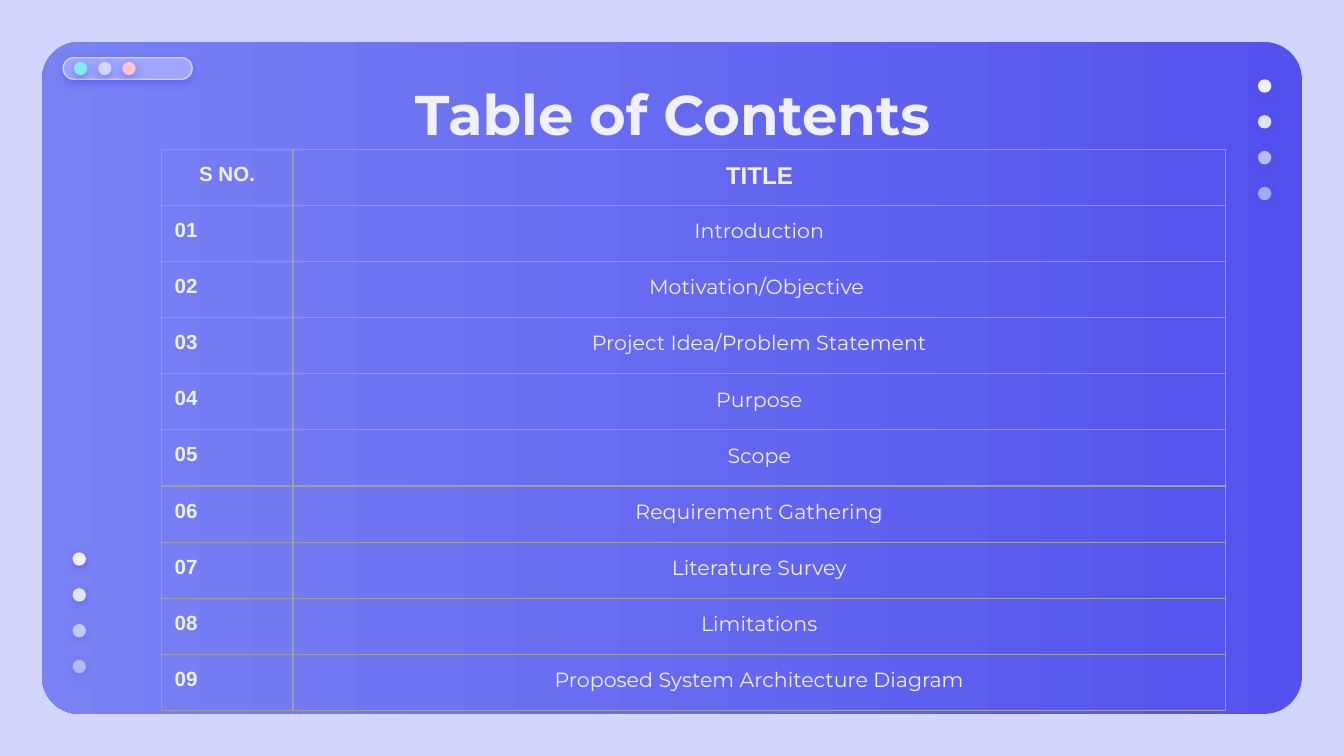
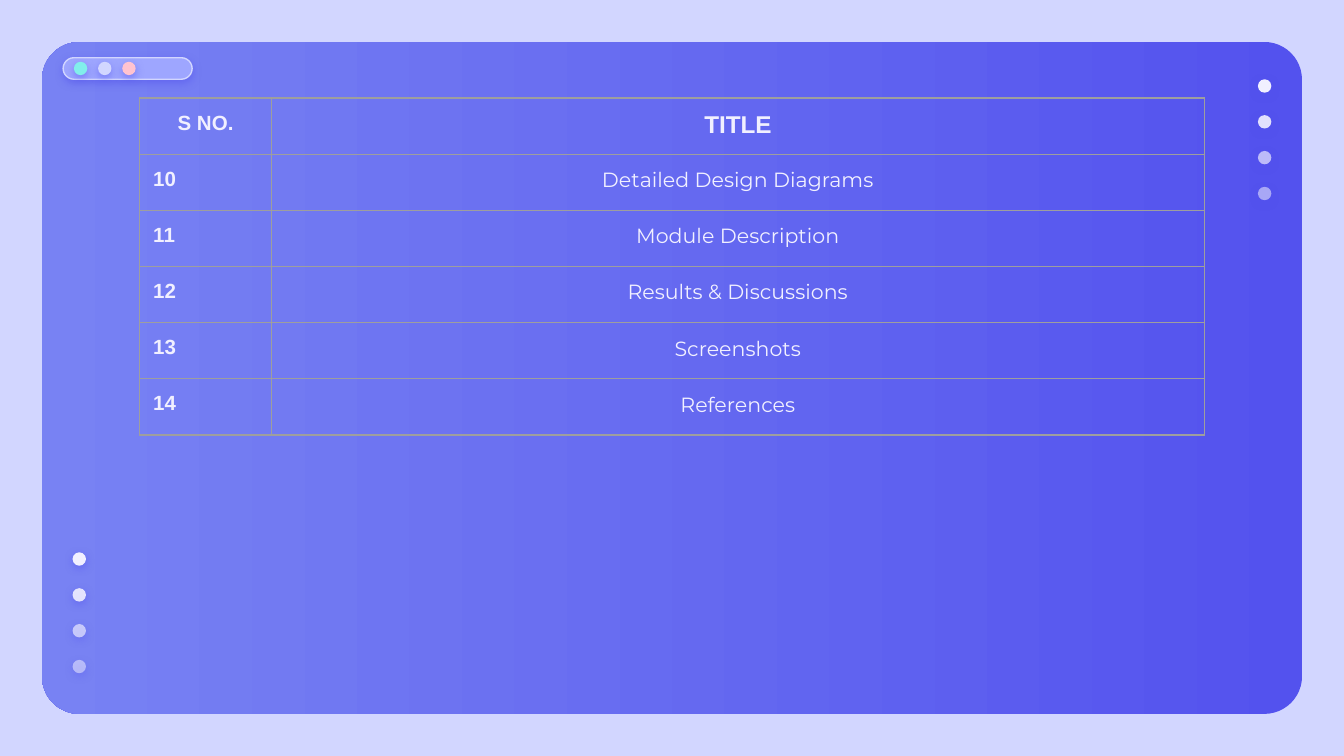
from lxml.etree import SubElement
from pptx import Presentation
from pptx.dml.color import RGBColor
from pptx.enum.shapes import MSO_SHAPE as Preset
from pptx.enum.text import MSO_ANCHOR as Anchor, PP_ALIGN as Align
from pptx.oxml.ns import qn
from pptx.util import Inches, Pt

PALE = RGBColor(0xD2, 0xD6, 0xFF)
DEEP = RGBColor(0x53, 0x52, 0xEE)
SOFT = RGBColor(0x78, 0x82, 0xF3)
PILL = RGBColor(0x9E, 0xA6, 0xFF)
AQUA = RGBColor(0x81, 0xEE, 0xEB)
PINK = RGBColor(0xFF, 0xC3, 0xD0)
TEXT = RGBColor(0xF1, 0xF0, 0xFF)
BORDER = RGBColor(0x9E, 0x9E, 0x9E)
HEAD_FONT, BODY_FONT = "Arial", "Montserrat"

WIDTH, HEIGHT = Inches(10), Inches(5.625)
MARGIN = WIDTH // 32
DOT = Inches(0.1)
DOT_PITCH = Inches(0.8) // 3
DOT_OPACITIES = (100, 90, 67, 54)
COLUMNS = (Inches(0.98), Inches(6.94))
ROW = Inches(4.18) // 10
INSET = Inches(0.1)

FIRST_TOPICS = [
    "Introduction", "Motivation/Objective ", "Project Idea/Problem Statement",
    "Purpose", "Scope", "Requirement Gathering", "Literature Survey",
    "Limitations", "Proposed System Architecture Diagram",
]
LAST_TOPICS = [
    "Detailed Design Diagrams", "Module Description", "Results & Discussions",
    "Screenshots", "References",
]


def add_color(parent, color, opacity=100):
    """Append an RGB colour with an opacity in percent."""
    element = SubElement(parent, qn("a:srgbClr"), val=str(color))
    if opacity < 100:
        SubElement(element, qn("a:alpha"), val=str(opacity * 1000))


def add_shadow(shape):
    """Give a shape the soft shadow that the small decorations share."""
    shape.shadow.inherit = False
    effects = shape._element.spPr.find(qn("a:effectLst"))
    shadow = SubElement(effects, qn("a:outerShdw"), blurRad=str(Pt(4.5)),
                        dist=str(Pt(1.5)), dir="5400000", algn="bl", rotWithShape="0")
    add_color(shadow, DEEP, 50)


def add_dot(slide, left, top, color, opacity=100):
    """Draw one small round dot."""
    dot = slide.shapes.add_shape(Preset.OVAL, left, top, DOT, DOT)
    dot.fill.solid()
    dot.fill.fore_color.rgb = color
    if opacity < 100:
        fill = dot._element.spPr.find(qn("a:solidFill"))
        fill.remove(fill[0])
        add_color(fill, color, opacity)
    dot.line.fill.background()
    add_shadow(dot)


def add_fading_dots(slide, left, top):
    """Draw a column of dots that fade downwards."""
    for index, opacity in enumerate(DOT_OPACITIES):
        add_dot(slide, left, top + index * DOT_PITCH, TEXT, opacity)


def add_panel(slide):
    """Draw the rounded gradient panel that carries the content."""
    panel = slide.shapes.add_shape(Preset.ROUNDED_RECTANGLE, MARGIN, MARGIN,
                                   WIDTH - 2 * MARGIN, HEIGHT - 2 * MARGIN)
    panel.adjustments[0] = 0.056
    panel.fill.gradient()
    panel.fill.gradient_angle = 180
    for stop, color in zip(panel.fill.gradient_stops, (DEEP, SOFT)):
        stop.color.rgb = color
    panel.line.fill.background()
    panel.shadow.inherit = False


def add_window_buttons(slide):
    """Draw the pill with three coloured buttons."""
    pill = slide.shapes.add_shape(Preset.ROUNDED_RECTANGLE, Inches(0.47), Inches(0.43),
                                  Inches(0.96), Inches(0.16))
    pill.adjustments[0] = 0.5
    pill.fill.solid()
    pill.fill.fore_color.rgb = PILL
    pill.line.color.rgb = PALE
    pill.line.width = Pt(0.75)
    add_shadow(pill)
    for index, color in enumerate((AQUA, PALE, PINK)):
        add_dot(slide, Inches(0.55 + 0.18 * index), Inches(0.46), color)


def add_base_slide(presentation):
    """Add a blank slide with the shared background and decorations."""
    slide = presentation.slides.add_slide(presentation.slide_layouts[6])
    slide.background.fill.solid()
    slide.background.fill.fore_color.rgb = PALE
    add_panel(slide)
    add_window_buttons(slide)
    add_fading_dots(slide, Inches(9.36), Inches(0.59))
    add_fading_dots(slide, Inches(0.54), Inches(4.11))
    return slide


def style_text(paragraph, text, font, size, bold, align):
    """Write a paragraph in the shared text colour."""
    paragraph.text = text
    paragraph.alignment = align
    paragraph.font.name = font
    paragraph.font.size = Pt(size)
    paragraph.font.bold = bold
    paragraph.font.color.rgb = TEXT


def set_insets(holder, left, top, right, bottom):
    """Set the inner margins of a text frame or table cell."""
    holder.margin_left, holder.margin_top = left, top
    holder.margin_right, holder.margin_bottom = right, bottom


def add_title(slide, text):
    """Add the centred slide title."""
    box = slide.shapes.add_textbox(Inches(0.79), Inches(0.49), Inches(8.43), Inches(0.63))
    frame = box.text_frame
    frame.word_wrap = True
    frame.vertical_anchor = Anchor.TOP
    set_insets(frame, *[INSET] * 4)
    style_text(frame.paragraphs[0], text, BODY_FONT, 30, True, Align.CENTER)


def fill_cell(cell, text, font, size, bold, align):
    """Write a transparent table cell with thin borders."""
    properties = cell._tc.get_or_add_tcPr()
    for side in ("lnL", "lnR", "lnT", "lnB"):
        line = SubElement(properties, qn(f"a:{side}"), w=str(Pt(0.75)))
        add_color(SubElement(line, qn("a:solidFill")), BORDER)
    cell.fill.background()
    cell.vertical_anchor = Anchor.TOP
    set_insets(cell, *[INSET] * 4)
    style_text(cell.text_frame.paragraphs[0], text, font, size, bold, align)


def add_contents_table(slide, left, top, topics, first_number):
    """Add the table of numbered topics under its header row."""
    row_count = len(topics) + 1
    table = slide.shapes.add_table(row_count, len(COLUMNS), left, top,
                                   sum(COLUMNS), row_count * ROW).table
    table.first_row = table.horz_banding = False
    for column, width in zip(table.columns, COLUMNS):
        column.width = width
    for row in table.rows:
        row.height = ROW
    fill_cell(table.cell(0, 0), "S NO.", HEAD_FONT, 11, True, Align.CENTER)
    fill_cell(table.cell(0, 1), "TITLE", HEAD_FONT, 13, True, Align.CENTER)
    for row, topic in enumerate(topics, start=1):
        number = f"{first_number + row - 1:02d}"
        fill_cell(table.cell(row, 0), number, HEAD_FONT, 11, True, Align.LEFT)
        fill_cell(table.cell(row, 1), topic, BODY_FONT, 11, False, Align.CENTER)


def main():
    """Build both contents slides and save them."""
    presentation = Presentation()
    presentation.slide_width, presentation.slide_height = WIDTH, HEIGHT

    slide = add_base_slide(presentation)
    add_title(slide, "Table of Contents")
    add_contents_table(slide, Inches(1.2), Inches(1.11), FIRST_TOPICS, 1)

    slide = add_base_slide(presentation)
    add_contents_table(slide, Inches(1.04), Inches(0.73), LAST_TOPICS,
                       len(FIRST_TOPICS) + 1)

    presentation.save("out.pptx")


main()
